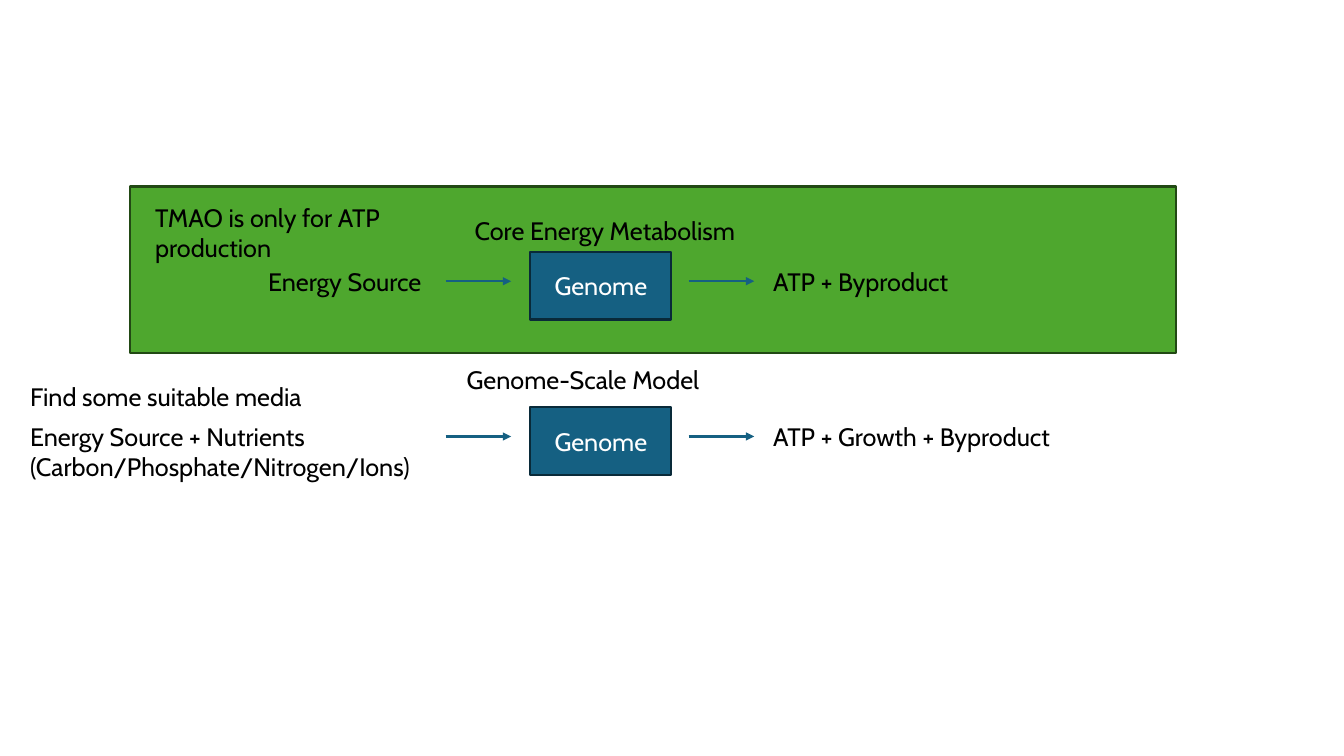
"""Build a slide comparing core energy metabolism with a genome-scale model."""
from dataclasses import dataclass

from lxml import etree
from pptx import Presentation
from pptx.dml.color import RGBColor
from pptx.enum import shapes, text
from pptx.oxml import ns
from pptx.util import Inches, Pt


@dataclass(frozen=True)
class Theme:
    """Colours and type sizes of the slide."""
    font: str = "Cabin"
    size: int = 18
    line_width: float = 1.5
    ink: str = "000000"
    inverse: str = "FFFFFF"
    band: str = "4EA72E"
    band_edge: str = "224914"
    accent: str = "156082"
    accent_edge: str = "092A39"


THEME = Theme()


def colour(value):
    """Turn a hex string into a colour."""
    return RGBColor.from_string(value)


def write(text_frame, wording, ink):
    """Put one formatted paragraph into a text frame."""
    text_frame.text = wording
    text_frame.word_wrap = True
    for run in text_frame.paragraphs[0].runs:
        run.font.name = THEME.font
        run.font.size = Pt(THEME.size)
        run.font.color.rgb = colour(ink)


def add_box(slide, left, top, width, height, fill, edge):
    """Add a filled, outlined rectangle."""
    shape = slide.shapes.add_shape(
        shapes.MSO_SHAPE.RECTANGLE,
        Inches(left), Inches(top), Inches(width), Inches(height))
    shape.shadow.inherit = False
    shape.fill.solid()
    shape.fill.fore_color.rgb = colour(fill)
    shape.line.color.rgb = colour(edge)
    shape.line.width = Pt(THEME.line_width)
    return shape


def add_label(slide, wording, left, top, width, height=0.4):
    """Add a wrapped text box that fits its text."""
    label = slide.shapes.add_textbox(
        Inches(left), Inches(top), Inches(width), Inches(height))
    write(label.text_frame, wording, THEME.ink)
    label.text_frame.auto_size = text.MSO_AUTO_SIZE.SHAPE_TO_FIT_TEXT


def add_arrow(slide, left, middle, length=0.65):
    """Add a horizontal arrow pointing right."""
    arrow = slide.shapes.add_connector(
        shapes.MSO_CONNECTOR.STRAIGHT,
        Inches(left), Inches(middle), Inches(left + length), Inches(middle))
    arrow.line.color.rgb = colour(THEME.accent)
    arrow.line.width = Pt(THEME.line_width)
    properties = arrow.line._get_or_add_ln()
    etree.SubElement(properties, ns.qn("a:tailEnd"), type="triangle")
    etree.SubElement(arrow._element.spPr, ns.qn("a:effectLst"))


def add_genome_flow(slide, top, source, product):
    """Add one row: source, arrow, genome box, arrow, product."""
    genome = add_box(slide, 5.26, top, 1.4, 0.67, THEME.accent, THEME.accent_edge)
    write(genome.text_frame, "Genome", THEME.inverse)
    genome.text_frame.vertical_anchor = text.MSO_ANCHOR.MIDDLE
    genome.text_frame.paragraphs[0].alignment = text.PP_ALIGN.CENTER

    label_top = top + 0.09
    source_wording, source_left, source_width, source_height = source
    add_label(slide, source_wording, source_left, label_top, source_width, source_height)
    product_wording, product_width = product
    add_label(slide, product_wording, 7.57, label_top, product_width)
    for arrow_left in (4.42, 6.83):
        add_arrow(slide, arrow_left, top + 0.29)


def main():
    """Build and save the presentation."""
    presentation = Presentation()
    presentation.slide_width = Inches(13.33)
    presentation.slide_height = Inches(7.5)
    slide = presentation.slides.add_slide(presentation.slide_layouts[6])

    add_box(slide, 1.29, 1.85, 10.37, 1.65, THEME.band, THEME.band_edge)
    add_genome_flow(slide, 2.5, ("Energy Source", 2.56, 1.79, 0.4),
                    ("ATP + Byproduct", 2.5))
    add_genome_flow(
        slide, 4.04,
        ("Energy Source + Nutrients (Carbon/Phosphate/Nitrogen/Ions)", 0.2, 4.15, 0.71),
        ("ATP + Growth + Byproduct", 3.07))

    add_label(slide, "Core Energy Metabolism", 4.61, 2.09, 2.86)
    add_label(slide, "Genome-Scale Model", 4.53, 3.57, 2.86)
    add_label(slide, "TMAO is only for ATP production", 1.44, 1.96, 2.86, 0.71)
    add_label(slide, "Find some suitable media", 0.2, 3.73, 3.51)

    presentation.save("out.pptx")


if __name__ == "__main__":
    main()
